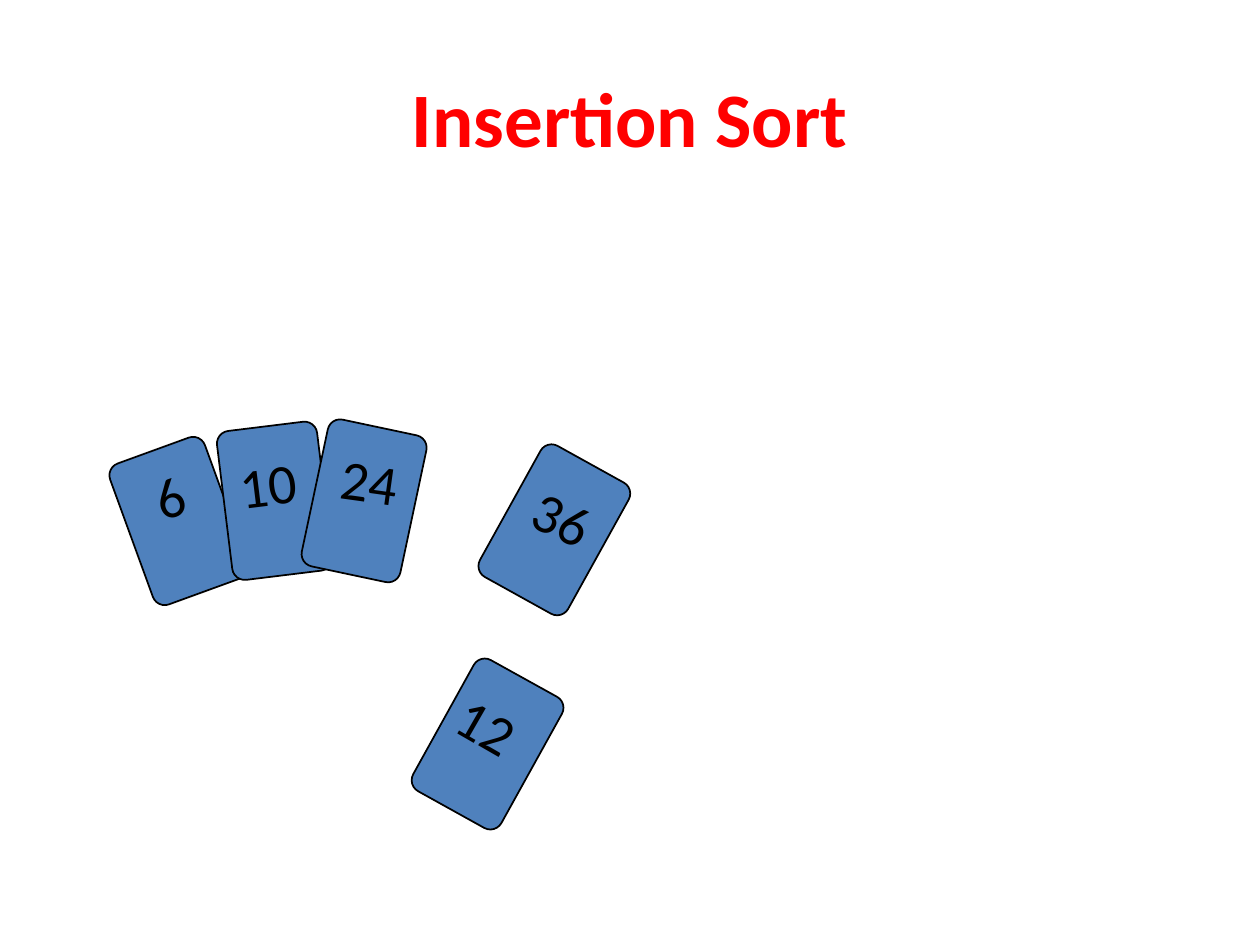
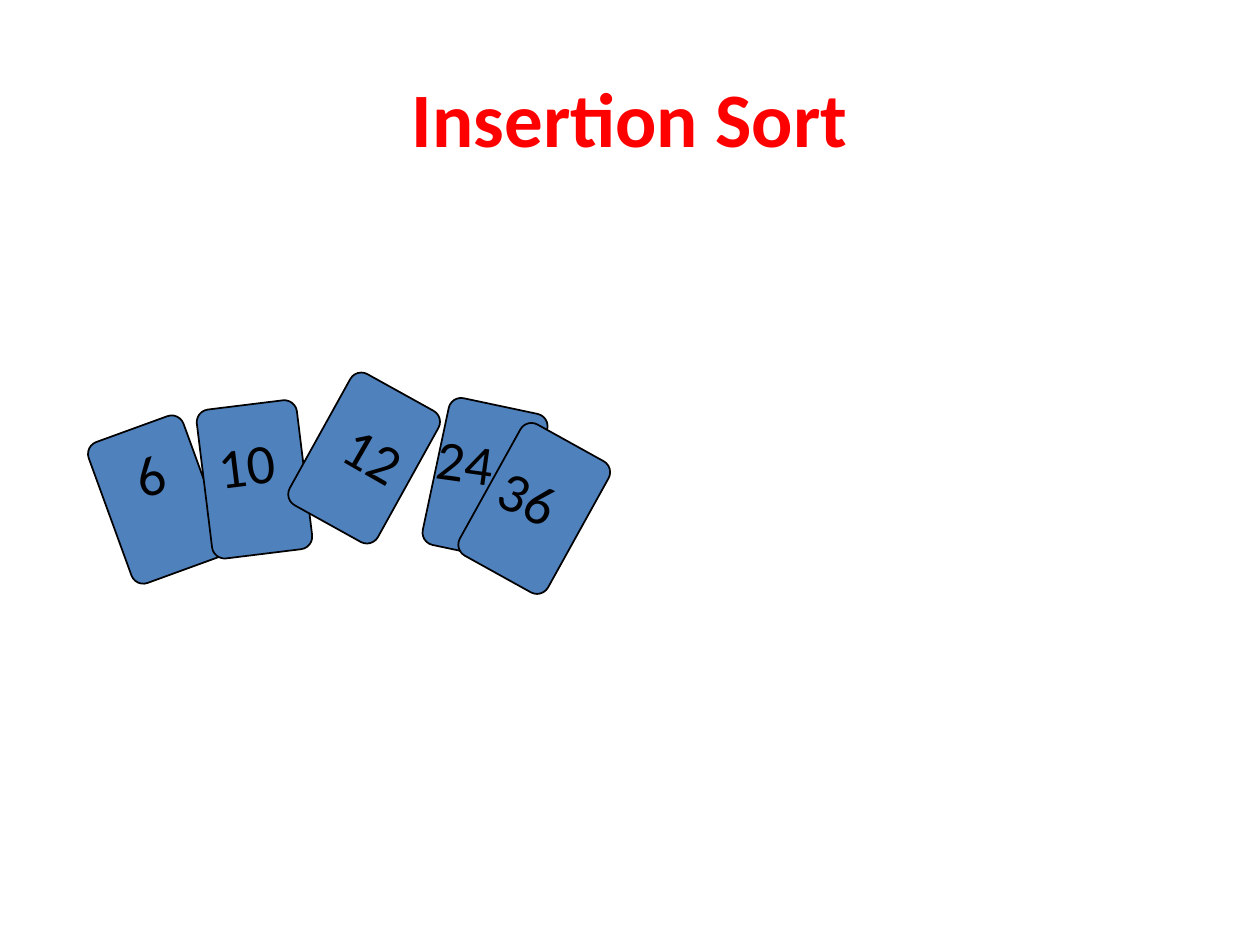
from pptx import Presentation
from pptx.dml.color import RGBColor
from pptx.enum.shapes import MSO_SHAPE
from pptx.enum.text import MSO_ANCHOR, MSO_AUTO_SIZE, PP_ALIGN
from pptx.util import Inches, Pt

ROUND = MSO_SHAPE.ROUNDED_RECTANGLE
MIDDLE = MSO_ANCHOR.MIDDLE
FIT = MSO_AUTO_SIZE.SHAPE_TO_FIT_TEXT
LEFT, CENTER = PP_ALIGN.LEFT, PP_ALIGN.CENTER

RED = RGBColor(0xFF, 0x00, 0x00)
BLUE = RGBColor(0x4F, 0x81, 0xBD)
BLACK = RGBColor(0x00, 0x00, 0x00)
FONT = "Calibri"

WIDTH, HEIGHT = Inches(10), Inches(7.5)
COLS, ROWS = 100, 75
CARD = (8, 11.9)

# Tilt of the face and of the number on each card, in degrees
TILTS = {"6": (340, 341), "10": (353, 353), "12": (29, 30),
         "24": (12, 8), "36": (29, 25)}


def write(frame, text, size=32, color=BLACK, bold=False, align=LEFT):
    """Put one formatted line of text into a frame."""
    line = frame.paragraphs[0]
    line.alignment = align
    run = line.add_run()
    run.text = text
    font = run.font
    font.name, font.size, font.bold = FONT, Pt(size), bold
    font.color.rgb = color


def place(left, top, width, height):
    """Turn grid columns and rows into lengths on the slide."""
    return (round(left * WIDTH / COLS), round(top * HEIGHT / ROWS),
            round(width * WIDTH / COLS), round(height * HEIGHT / ROWS))


class Deck:
    """Hold the presentation, its style and the current slide."""

    def __init__(self):
        """Start an empty deck of the right size."""
        self.prs = Presentation()
        self.prs.slide_width, self.prs.slide_height = WIDTH, HEIGHT
        self.slide = None

    def page(self, title):
        """Add a slide with a title."""
        layout = self.prs.slide_layouts.get_by_name("Title Only")
        self.slide = self.prs.slides.add_slide(layout)
        head = self.slide.shapes.title
        head.left, head.top, head.width, head.height = place(5, 3, 90, 12.5)
        head.text_frame.vertical_anchor = MIDDLE
        write(head.text_frame, title, size=44, color=RED, bold=True,
              align=CENTER)

    def face(self, shapes, spot, tilt):
        """Draw the blank face of a card."""
        card = shapes.add_shape(ROUND, *place(*spot, *CARD))
        card.adjustments[0] = 0.125
        card.rotation = tilt
        card.shadow.inherit = False
        card.fill.solid()
        card.fill.fore_color.rgb = BLUE
        card.line.color.rgb = BLACK
        card.line.width = Pt(1)

    def number(self, shapes, text, spot, tilt):
        """Write the number of a card."""
        width = 4.5 if len(text) == 1 else 7
        box = shapes.add_textbox(*place(*spot, width, 6.3))
        box.rotation = tilt
        box.text_frame.word_wrap = False
        box.text_frame.auto_size = FIT
        write(box.text_frame, text)

    def hand(self, *cards, group=False):
        """Draw cards (number, face spot, number spot), faces first."""
        shapes = self.slide.shapes
        if group:
            shapes = shapes.add_group_shape().shapes
        for text, spot, _ in cards:
            self.face(shapes, spot, TILTS[text][0])
        for text, _, spot in cards:
            self.number(shapes, text, spot, TILTS[text][1])


def main():
    """Build both steps of the sort and save the deck."""
    deck = Deck()

    deck.page("Insertion Sort")
    deck.hand(("6", (10.2, 35.4), (11.3, 36.1)),
              ("10", (17.8, 33.8), (18, 35.2)),
              ("24", (24.9, 33.8), (26.1, 35)), group=True)
    deck.hand(("36", (40, 36.1), (41.4, 38)))
    deck.hand(("12", (34.7, 53.1), (35.4, 54.5)))

    deck.page("Insertion Sort")
    deck.hand(("6", (8.5, 33.7), (9.7, 34.4)),
              ("10", (16.2, 32.1), (16.3, 33.6)))
    deck.hand(("24", (34.5, 32.1), (33.7, 33.4)),
              ("36", (38.4, 34.4), (38.7, 36.3)), group=True)
    deck.hand(("12", (24.9, 30.4), (26.4, 33)))

    deck.prs.save("out.pptx")


main()
